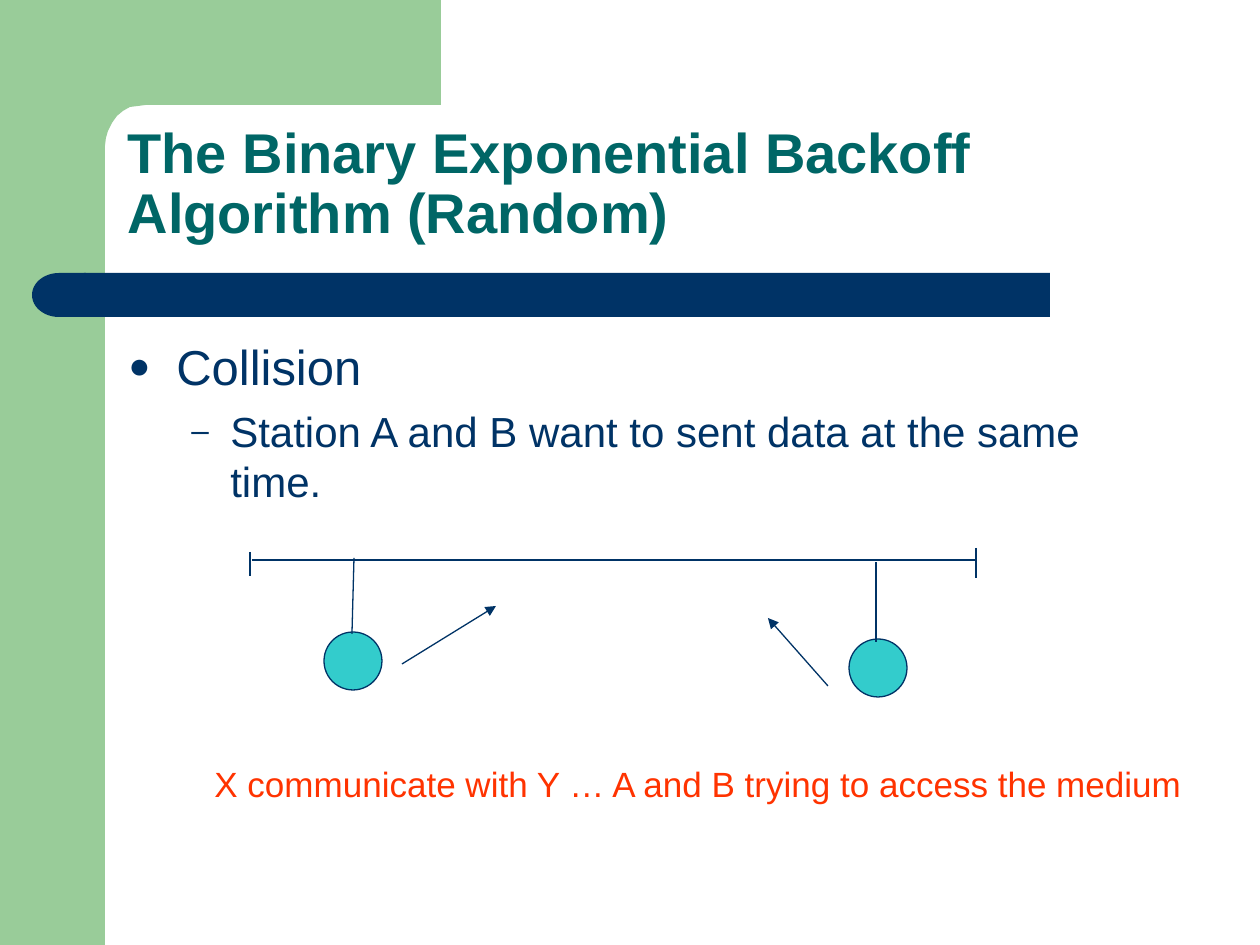
"""Build the slide on the binary exponential backoff algorithm."""
from typing import NamedTuple

from lxml import etree
from pptx import Presentation
from pptx.dml.color import RGBColor
from pptx.enum.shapes import MSO_CONNECTOR, MSO_SHAPE
from pptx.enum.text import MSO_ANCHOR, MSO_AUTO_SIZE, PP_ALIGN
from pptx.oxml.ns import qn
from pptx.util import Emu, Pt

RECTANGLE = MSO_SHAPE.RECTANGLE
DELAY = MSO_SHAPE.FLOWCHART_DELAY
OVAL = MSO_SHAPE.OVAL
STRAIGHT = MSO_CONNECTOR.STRAIGHT
LEFT = PP_ALIGN.LEFT
BOTTOM = MSO_ANCHOR.BOTTOM
NO_AUTOFIT = MSO_AUTO_SIZE.NONE
FIT_SHAPE = MSO_AUTO_SIZE.SHAPE_TO_FIT_TEXT

EMU_PER_PX = 914400 / 126
FONT = "Arial"
COLORS = {"green": "99CC99", "navy": "003366", "teal": "006666",
          "cyan": "33CCCC", "red": "FF3300"}


class Box(NamedTuple):
    left: int
    top: int
    width: int
    height: int


class Block(NamedTuple):
    preset: int
    box: Box
    color: str
    outlined: bool = False
    mirrored: bool = False


class Wire(NamedTuple):
    start: tuple[int, int]
    end: tuple[int, int]
    arrow: bool = False


class Bullet(NamedTuple):
    text: str
    size: int
    char: str
    level: int
    margin: int
    hanging: int
    space_before: int


CORNER = [(441, 0), (441, 105), (146, 105), (138, 106), (130, 107), (123, 111),
          (117, 116), (112, 123), (108, 131), (106, 138), (105, 146),
          (105, 161), (63, 161), (63, 0)]
DECOR = [
    Block(RECTANGLE, Box(84, 273, 966, 44), "navy"),
    Block(DELAY, Box(32, 273, 54, 44), "navy", mirrored=True),
]
STATIONS = [Block(OVAL, Box(left, top, 58, 58), "cyan", outlined=True)
            for left, top in ((324, 632), (849, 639))]
BUS = Wire((252, 560), (976, 560))
WIRES = [
    Wire((352, 634), (354, 558)),
    Wire((876, 642), (876, 562)),
    Wire((250, 552), (250, 576)),
    Wire((976, 548), (976, 578)),
    Wire((402, 664), (496, 606), arrow=True),
    Wire((828, 686), (768, 618), arrow=True),
]
BULLETS = [
    Bullet("Collision", 28, "●", 0, 48, 48, 0),
    Bullet("Station A and B want to sent data at the same time.",
           24, "–", 1, 102, 39, 6),
]


def px(length: int) -> Emu:
    return Emu(round(length * EMU_PER_PX))


def rgb(color: str) -> RGBColor:
    return RGBColor.from_string(COLORS[color])


def paint(shape, color: str, outlined: bool = False) -> None:
    shape.shadow.inherit = False
    shape.fill.solid()
    shape.fill.fore_color.rgb = rgb(color)
    if outlined:
        shape.line.color.rgb = rgb("navy")
        shape.line.width = Pt(0.75)
    else:
        shape.line.fill.background()


def draw_block(slide, block: Block) -> None:
    shape = slide.shapes.add_shape(block.preset, *map(px, block.box))
    paint(shape, block.color, block.outlined)
    if block.mirrored:
        shape._element.spPr.xfrm.set("flipH", "1")


def draw_corner(slide) -> None:
    builder = slide.shapes.build_freeform(*CORNER[0], scale=EMU_PER_PX)
    builder.add_line_segments(CORNER[1:], close=True)
    paint(builder.convert_to_shape(), "green")


def draw_wire(slide, wire: Wire) -> None:
    connector = slide.shapes.add_connector(
        STRAIGHT, *map(px, wire.start + wire.end))
    connector.line.color.rgb = rgb("navy")
    connector.line.width = Pt(0.75)
    properties = connector._element.spPr
    if wire.arrow:
        etree.SubElement(properties.find(qn("a:ln")), qn("a:tailEnd"),
                         type="triangle")
    etree.SubElement(properties, qn("a:effectLst"))


def add_text(paragraph, text: str, size: int, color: str,
             bold: bool = False) -> None:
    paragraph.alignment = LEFT
    run = paragraph.add_run()
    run.text = text
    run.font.name = FONT
    run.font.size = Pt(size)
    run.font.bold = bold
    run.font.color.rgb = rgb(color)


def write_title(slide) -> None:
    title = slide.shapes.title
    title.left, title.top, title.width, title.height = map(
        px, Box(115, 115, 1072, 137))
    frame = title.text_frame
    frame.word_wrap = True
    frame.auto_size = NO_AUTOFIT
    frame.vertical_anchor = BOTTOM
    frame.paragraphs[0].line_spacing = 0.9
    add_text(frame.paragraphs[0],
             "The Binary Exponential Backoff Algorithm (Random)",
             32, "teal", bold=True)


def format_bullet(paragraph, bullet: Bullet) -> None:
    properties = paragraph._p.get_or_add_pPr()
    properties.set("marL", str(px(bullet.margin)))
    properties.set("indent", str(-px(bullet.hanging)))
    color = etree.SubElement(properties, qn("a:buClr"))
    etree.SubElement(color, qn("a:srgbClr"), val=COLORS["navy"])
    etree.SubElement(properties, qn("a:buSzPct"), val="75000")
    etree.SubElement(properties, qn("a:buFont"), typeface=FONT)
    etree.SubElement(properties, qn("a:buChar"), char=bullet.char)
    paragraph.level = bullet.level
    paragraph.space_before = Pt(bullet.space_before)


def write_bullets(slide) -> None:
    body = slide.shapes.add_textbox(*map(px, Box(116, 330, 1060, 508)))
    frame = body.text_frame
    frame.word_wrap = True
    for index, bullet in enumerate(BULLETS):
        paragraph = frame.add_paragraph() if index else frame.paragraphs[0]
        format_bullet(paragraph, bullet)
        add_text(paragraph, bullet.text, bullet.size, "navy")


def write_caption(slide) -> None:
    caption = slide.shapes.add_textbox(*map(px, Box(202, 756, 998, 55)))
    frame = caption.text_frame
    frame.word_wrap = False
    frame.auto_size = FIT_SHAPE
    add_text(frame.paragraphs[0],
             "X communicate with Y … A and B trying to access the medium",
             20, "red")


def main() -> None:
    deck = Presentation()
    deck.slide_width, deck.slide_height = px(1260), px(945)
    slide = deck.slides.add_slide(deck.slide_layouts[5])
    draw_block(slide, Block(RECTANGLE, Box(0, 0, 105, 945), "green"))
    draw_corner(slide)
    for block in DECOR:
        draw_block(slide, block)
    write_title(slide)
    write_bullets(slide)
    draw_wire(slide, BUS)
    for station in STATIONS:
        draw_block(slide, station)
    for wire in WIRES:
        draw_wire(slide, wire)
    write_caption(slide)
    deck.save("out.pptx")


if __name__ == "__main__":
    main()
